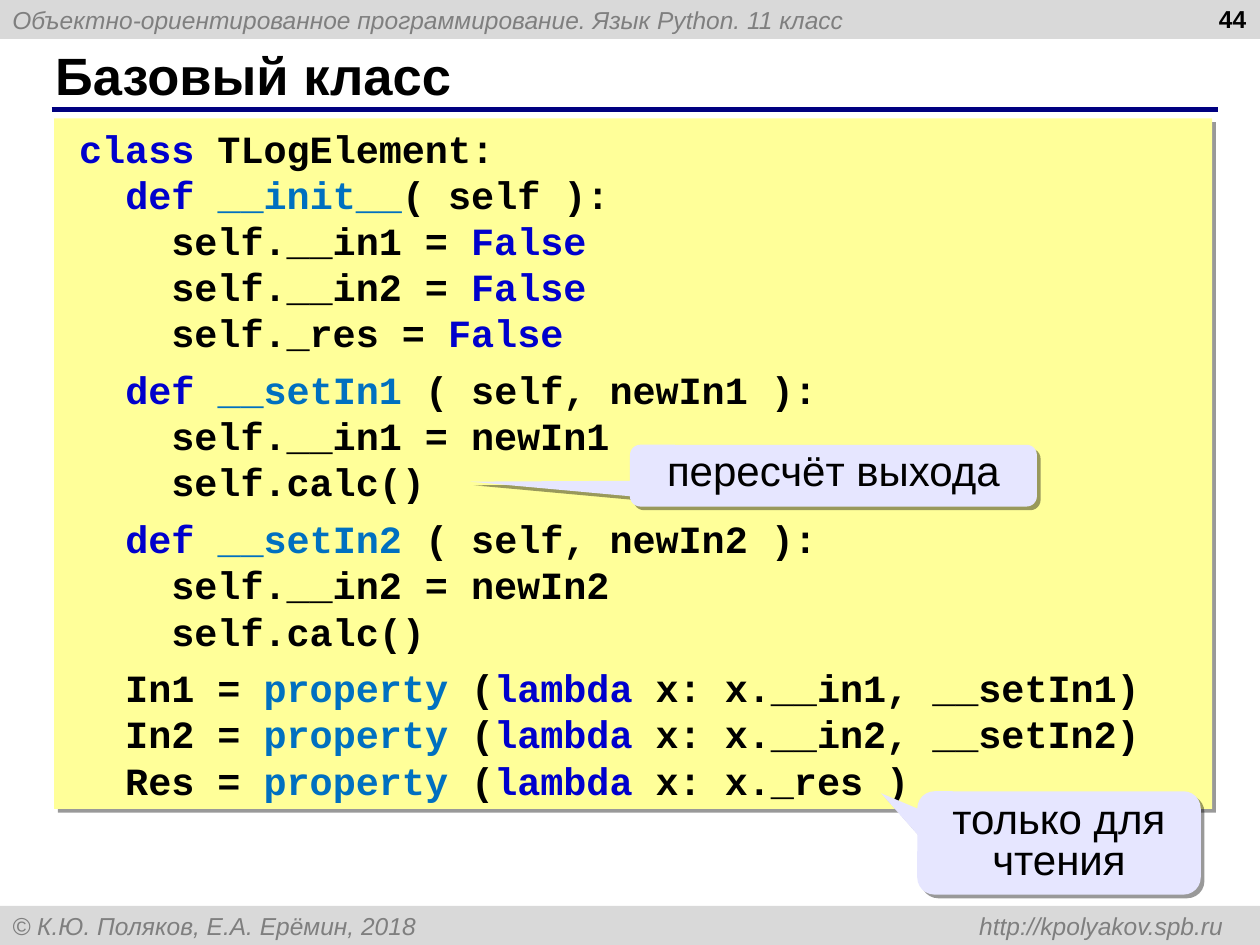
from lxml import etree
from pptx import Presentation
from pptx.dml.color import RGBColor
from pptx.enum.shapes import MSO_CONNECTOR, MSO_SHAPE
from pptx.enum.text import MSO_ANCHOR as ANCHOR, PP_ALIGN as ALIGN
from pptx.oxml import parse_xml
from pptx.oxml.ns import nsdecls, qn
from pptx.util import Inches, Pt

BLACK = RGBColor(0x00, 0x00, 0x00)
GRAY = RGBColor(0x7F, 0x7F, 0x7F)
BAND = RGBColor(0xD9, 0xD9, 0xD9)
NAVY = RGBColor(0x00, 0x00, 0x80)
YELLOW = RGBColor(0xFF, 0xFF, 0x99)
LILAC = RGBColor(0xE6, 0xE6, 0xFF)
KEYWORD = RGBColor(0x00, 0x00, 0xCC)
NAME = RGBColor(0x00, 0x70, 0xC0)

SHADOW = (
    f'<a:effectLst {nsdecls("a")}><a:outerShdw dist="38100" dir="2700000" algn="ctr" rotWithShape="0">'
    '<a:srgbClr val="000000"><a:alpha val="40000"/></a:srgbClr></a:outerShdw></a:effectLst>'
)


class SlideBuilder:
    """Draws the elements of one slide in a shared style."""

    def __init__(self, slide, font="Arial", code_font="Courier New"):
        self.s, self.font, self.code_font = slide, font, code_font

    def run(self, p, text, size, color=BLACK, bold=False, italic=False, font=None):
        r = p.add_run()
        r.text = text
        f = r.font
        f.name, f.size, f.bold, f.italic = font or self.font, Pt(size), bold, italic
        f.color.rgb = color

    def shape(self, kind, box, fill, shadow=False, anchor=ANCHOR.MIDDLE):
        sp = self.s.shapes.add_shape(kind, *map(Inches, box))
        sp.fill.solid()
        sp.fill.fore_color.rgb = fill
        sp.line.fill.background()
        sp.shadow.inherit = False
        if shadow:
            props = sp._element.spPr
            props.replace(props.find(qn("a:effectLst")), parse_xml(SHADOW))
        sp.text_frame.word_wrap = True
        sp.text_frame.vertical_anchor = anchor
        return sp

    def band(self, top, text, tab=None):
        p = self.shape(MSO_SHAPE.RECTANGLE, (0, top, 10, 0.31), BAND).text_frame.paragraphs[0]
        p.alignment = ALIGN.LEFT
        if tab:
            tabs = etree.SubElement(p._p.get_or_add_pPr(), qn("a:tabLst"))
            etree.SubElement(tabs, qn("a:tab"), pos=str(Inches(tab)), algn="r")
        self.run(p, text, 14, GRAY, italic=True)

    def rule(self, left, right, y):
        line = self.s.shapes.add_connector(
            MSO_CONNECTOR.STRAIGHT, Inches(left), Inches(y), Inches(right), Inches(y))
        line.line.color.rgb = NAVY
        line.line.width = Pt(3)
        etree.SubElement(line._element.spPr, qn("a:effectLst"))

    def label(self, box, text, size, align=ALIGN.LEFT, anchor=ANCHOR.TOP):
        tf = self.s.shapes.add_textbox(*map(Inches, box)).text_frame
        tf.word_wrap = True
        tf.vertical_anchor = anchor
        p = tf.paragraphs[0]
        p.alignment = align
        self.run(p, text, size, bold=True)

    def code(self, box, blocks):
        tf = self.shape(MSO_SHAPE.RECTANGLE, box, YELLOW, shadow=True).text_frame
        p = None
        for block in blocks:
            for i, line in enumerate(block):
                gap = Pt(6) if p is not None and i == 0 else Pt(0)
                p = tf.paragraphs[0] if p is None else tf.add_paragraph()
                p.alignment = ALIGN.LEFT
                p.space_before = gap
                pPr = p._p.get_or_add_pPr()
                pPr.set("marL", str(Inches(0.2)))
                pPr.set("indent", str(Inches(-0.1)))
                for text, color in line:
                    self.run(p, text, 22, color, bold=True, font=self.code_font)

    def callout(self, box, tip, text):
        sp = self.shape(MSO_SHAPE.ROUNDED_RECTANGULAR_CALLOUT, box, LILAC, True, ANCHOR.TOP)
        for i, value in enumerate((*tip, 0.167)):
            sp.adjustments[i] = value
        p = sp.text_frame.paragraphs[0]
        p.alignment = ALIGN.CENTER
        p.line_spacing = 0.8
        self.run(p, text, 24)


def reset(field):
    return [(f"    self.{field} = ", BLACK), ("False", KEYWORD)]


def method(name, args):
    return [("  ", BLACK), ("def ", KEYWORD), (name, NAME), (args, BLACK)]


def setter(n):
    return [
        method(f"__setIn{n} ", f"( self, newIn{n} ):"),
        [(f"    self.__in{n} = newIn{n}", BLACK)],
        [("    self.calc()", BLACK)],
    ]


def prop(name, body):
    return [(f"  {name} = ", BLACK), ("property ", NAME), ("(", BLACK),
            ("lambda", KEYWORD), (f" x: {body})", BLACK)]


def main():
    prs = Presentation()
    prs.slide_width, prs.slide_height = Inches(10), Inches(7.5)
    b = SlideBuilder(prs.slides.add_slide(prs.slide_layouts[6]))

    b.band(0, "Объектно-ориентированное программирование. Язык Python. 11 класс")
    b.band(7.19, "© К.Ю. Поляков, Е.А. Ерёмин, 2018 \thttp://kpolyakov.spb.ru", tab=9.61)
    b.rule(0.41, 9.67, 0.87)
    b.label((0.34, 0.33, 9.16, 0.52), "Базовый класс", 30, anchor=ANCHOR.MIDDLE)
    b.label((7.66, -0.02, 2.33, 0.52), "44", 14, ALIGN.RIGHT)

    init = [
        [("class", KEYWORD), (" TLogElement:", BLACK)],
        method("__init__", "( self ):"),
        *map(reset, ("__in1", "__in2", "_res")),
    ]
    props = [
        prop("In1", "x.__in1, __setIn1"),
        prop("In2", "x.__in2, __setIn2"),
        prop("Res", "x._res "),
    ]
    b.code((0.43, 0.94, 9.19, 5.48), [init, setter(1), setter(2), props])

    b.callout((7.28, 6.28, 2.25, 0.82), (-0.628, -0.481), "только для чтения")
    b.callout((5, 3.53, 3.23, 0.49), (-0.893, 0.097), "пересчёт выхода")
    prs.save("out.pptx")


if __name__ == "__main__":
    main()
